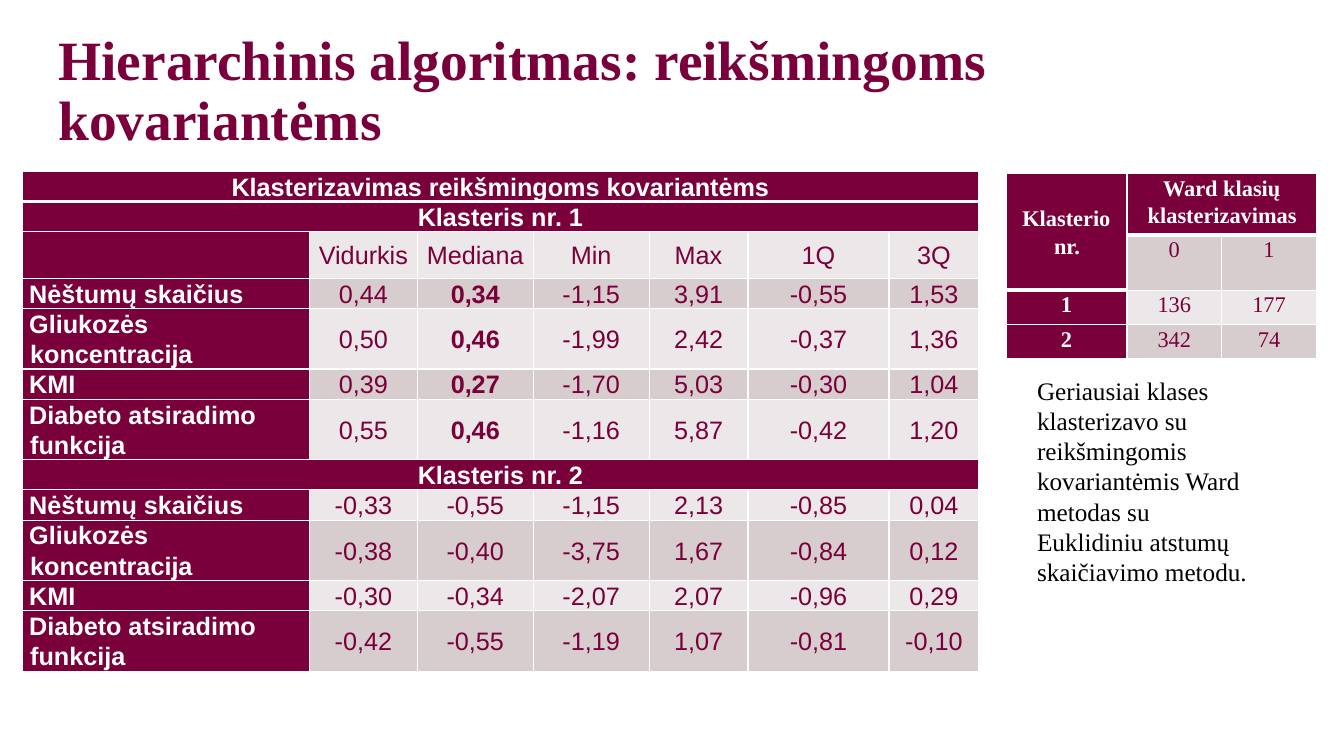
from dataclasses import dataclass
from itertools import product

from lxml.etree import SubElement
from pptx import Presentation
from pptx.dml.color import RGBColor
from pptx.enum.text import MSO_ANCHOR, MSO_AUTO_SIZE, PP_ALIGN
from pptx.oxml.ns import qn
from pptx.util import Inches, Pt


@dataclass(frozen=True)
class Theme:
    wine: str = "7A003B"
    white: str = "FFFFFF"
    black: str = "000000"
    light: str = "ECE7E8"
    dark: str = "D7CCCE"
    serif: str = "Times New Roman"
    sans: str = "Arial"
    title: float = 39.6
    text: float = 18
    small: float = 16
    thin: float = 1
    thick: float = 3


@dataclass(frozen=True)
class Look:
    font: str
    size: float
    lead: float
    after: float
    anchor: MSO_ANCHOR
    align: PP_ALIGN    # first column
    heads: set         # wine cells
    strong: set        # bold body cells
    ruled: set         # cells with a thick lower edge
    spans: list        # first and last cell of each merge


THEME = Theme()
NAMES = ["Nėštumų skaičius", "Gliukozės koncentracija", "KMI",
         "Diabeto atsiradimo funkcija"]
FIRST = ["0,44 0,34 -1,15 3,91 -0,55 1,53", "0,50 0,46 -1,99 2,42 -0,37 1,36",
         "0,39 0,27 -1,70 5,03 -0,30 1,04", "0,55 0,46 -1,16 5,87 -0,42 1,20"]
SECOND = ["-0,33 -0,55 -1,15 2,13 -0,85 0,04", "-0,38 -0,40 -3,75 1,67 -0,84 0,12",
          "-0,30 -0,34 -2,07 2,07 -0,96 0,29", "-0,42 -0,55 -1,19 1,07 -0,81 -0,10"]


def grid(*steps):
    """Grid steps of a tenth of an inch as lengths."""
    return [Inches(step / 10) for step in steps]


def put(para, text, font, size, color, bold=False):
    run = para.add_run()
    run.text = text
    run.font.name, run.font.size, run.font.bold = font, Pt(size), bold
    run.font.color.rgb = RGBColor.from_string(color)


def edge(cell, side, width):
    props = cell._tc.get_or_add_tcPr()
    line = SubElement(props, qn(f"a:ln{side}"), w=str(Pt(width)))
    fill = SubElement(line, qn("a:solidFill"))
    SubElement(fill, qn("a:srgbClr"), val=THEME.white)


def style(cell, row, col, look):
    """Edges, then fill and margins of one cell."""
    def rule(spot):
        return THEME.thick if spot in look.ruled else THEME.thin

    edge(cell, "L", THEME.thin)
    edge(cell, "R", THEME.thin)
    edge(cell, "T", rule((row - 1, col)))
    edge(cell, "B", rule((row, col)))
    band = THEME.dark if row % 2 else THEME.light
    cell.fill.solid()
    cell.fill.fore_color.rgb = RGBColor.from_string(
        THEME.wine if (row, col) in look.heads else band)
    cell.margin_left = cell.margin_right = Inches(0.07)
    cell.margin_top = cell.margin_bottom = 0
    cell.vertical_anchor = look.anchor


def write(cell, text, row, col, look):
    para = cell.text_frame.paragraphs[0]
    props = para._p.get_or_add_pPr()
    props.set("marL", str(Inches(0.01)))
    props.set("indent", str(-Inches(0.01)))
    para.line_spacing, para.space_after = look.lead, Pt(look.after)
    side = col == 0 and not cell.is_merge_origin
    para.alignment = look.align if side else PP_ALIGN.CENTER
    head = (row, col) in look.heads
    put(para, text, look.font, look.size, THEME.white if head else THEME.wine,
        head or (row, col) in look.strong)


def table(slide, left, top, cols, rows, data, look):
    frame = slide.shapes.add_table(len(rows), len(cols),
                                   *grid(left, top, sum(cols), sum(rows)))
    tab = frame.table
    tab.first_row = tab.horz_banding = False
    for part, size in zip(tab.columns, grid(*cols)):
        part.width = size
    for part, size in zip(tab.rows, grid(*rows)):
        part.height = size
    for start, end in look.spans:
        tab.cell(*start).merge(tab.cell(*end))
    for row, col in product(range(len(rows)), range(len(cols))):
        cell = tab.cell(row, col)
        style(cell, row, col, look)
        if col < len(data[row]) and data[row][col]:
            write(cell, data[row][col], row, col, look)
    return tab


def title(slide, text):
    shape = slide.shapes.title
    shape.left, shape.top, shape.width, shape.height = grid(4.8, 3, 99, 12.3)
    frame = shape.text_frame
    frame.word_wrap, frame.auto_size = True, MSO_AUTO_SIZE.NONE
    frame.vertical_anchor = MSO_ANCHOR.MIDDLE
    para = frame.paragraphs[0]
    para.alignment, para.line_spacing = PP_ALIGN.LEFT, 0.9
    put(para, text, THEME.serif, THEME.title, THEME.wine, True)


def note(slide, text):
    frame = slide.shapes.add_textbox(*grid(101.9, 36.7, 23.4, 22.2)).text_frame
    frame.word_wrap, frame.auto_size = True, MSO_AUTO_SIZE.SHAPE_TO_FIT_TEXT
    put(frame.paragraphs[0], text, THEME.serif, THEME.text, THEME.black)


def stats(slide):
    """Summary of both clusters."""
    def block(lines):
        return [[name, *line.split()] for name, line in zip(NAMES, lines)]

    data = [["Klasterizavimas reikšmingoms kovariantėms"], ["Klasteris nr. 1"],
            ["", "Vidurkis", "Mediana", "Min", "Max", "1Q", "3Q"],
            *block(FIRST), ["Klasteris nr. 2"], *block(SECOND)]
    bars = [row for row, line in enumerate(data) if len(line) == 1]
    look = Look(
        THEME.sans, THEME.text, 1.07, 8, MSO_ANCHOR.MIDDLE, PP_ALIGN.LEFT,
        heads={(row, 0) for row in range(len(data))} | set(product(bars, range(7))),
        strong={(row, 2) for row in range(3, 7)},
        ruled={(0, col) for col in range(7)},
        spans=[((row, 0), (row, 6)) for row in bars])
    rows = [3, 3, 4.6] + [3, 6] * 2 + [3] + [3, 6] * 2
    table(slide, 2.2, 17, [28.5, 10.7, 11.5, 11.5, 9.8, 14, 8.9], rows, data, look)


def counts(slide):
    """Class counts for each cluster."""
    data = [["Klasterio nr.", "Ward klasių klasterizavimas"], ["", "0", "1"],
            ["1", "136", "177"], ["2", "342", "74"]]
    top = {(0, 0), (0, 1), (0, 2), (1, 0)}
    look = Look(
        THEME.serif, THEME.small, 1.11, 0.7, MSO_ANCHOR.TOP, PP_ALIGN.CENTER,
        heads=top | {(2, 0), (3, 0)}, strong=set(), ruled=top - {(0, 0)},
        spans=[((0, 0), (1, 0)), ((0, 1), (0, 2))])
    tab = table(slide, 99.8, 17.2, [12, 9.4, 9.4], [6.1, 5.5, 3.4, 3.4], data, look)
    tab.cell(0, 0).vertical_anchor = MSO_ANCHOR.MIDDLE


def main():
    deck = Presentation()
    deck.slide_width, deck.slide_height = grid(133.33, 75)
    slide = deck.slides.add_slide(deck.slide_layouts[5])
    title(slide, "Hierarchinis algoritmas: reikšmingoms kovariantėms")
    stats(slide)
    counts(slide)
    note(slide, "Geriausiai klases klasterizavo su reikšmingomis kovariantėmis "
                "Ward metodas su Euklidiniu atstumų skaičiavimo metodu.")
    deck.save("out.pptx")


if __name__ == "__main__":
    main()
